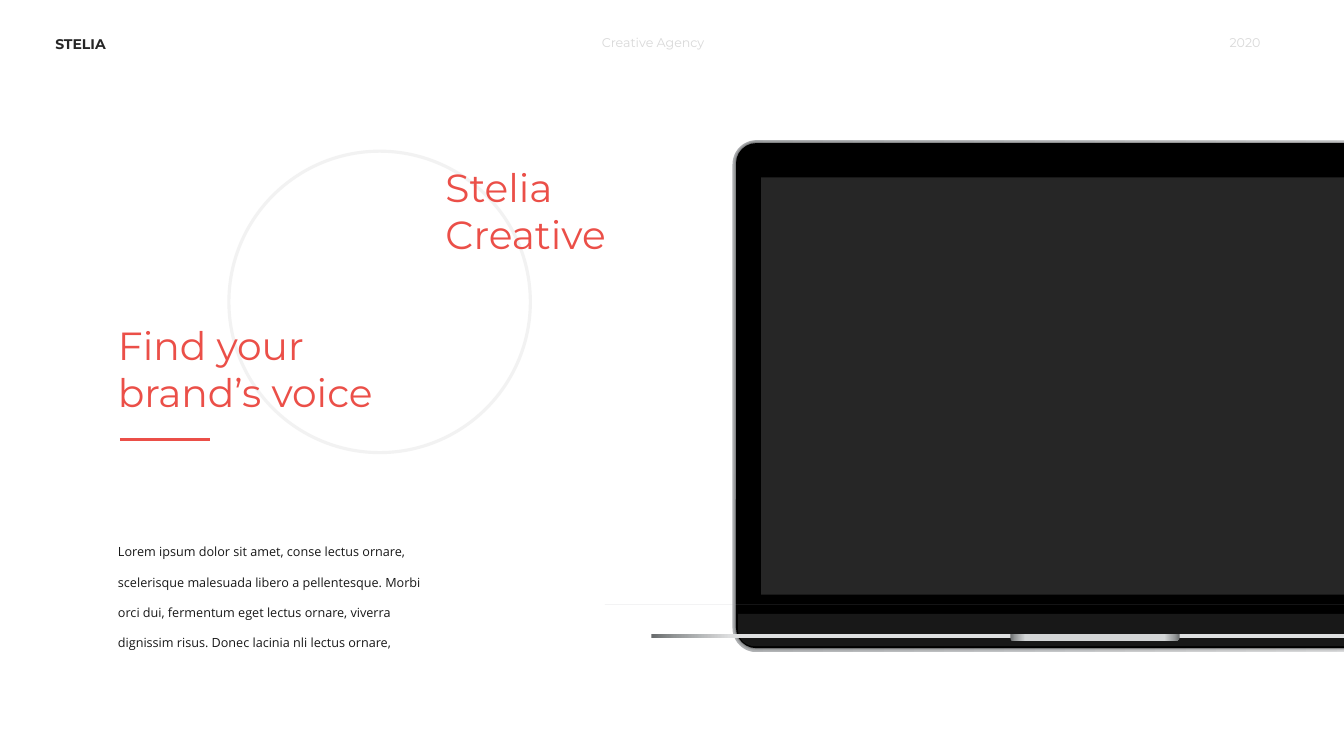
from dataclasses import dataclass

from lxml import etree
from pptx import Presentation
from pptx import util as u
from pptx.dml.color import RGBColor
from pptx.enum import shapes, text
from pptx.oxml.ns import qn


@dataclass(frozen=True)
class Theme:
    heading_font: str = "Montserrat"
    body_font: str = "Open Sans"
    accent: str = "EB4F48"
    ink: str = "181818"
    dark: str = "262626"
    black: str = "000000"
    muted: str = "D9D9D9"
    pale: str = "F2F2F2"
    metal: str = "A5A6A8"
    bright_metal: str = "DFE0E1"
    notch_metal: str = "D3D5D6"
    shell: tuple = ((0, "B0B2B4"), (100, "DFE0E1"))
    metal_edges: tuple = ("686B6C", "96999A")
    title_size: float = 28
    brand_size: float = 10
    small_size: float = 9
    line_width: float = 2.25

    def brushed(self, middle):
        """Dark-edged metal gradient around a lighter middle."""
        outer, inner = self.metal_edges
        return ((0, outer), (3, inner), (9, middle),
                (91, middle), (97, inner), (100, outer))


class SlideBuilder:
    def __init__(self, slide, theme):
        self.slide = slide
        self.theme = theme
        self.canvas = slide.shapes

    def start_group(self):
        self.canvas = self.slide.shapes.add_group_shape().shapes

    def end_group(self):
        self.canvas = self.slide.shapes

    def paint(self, shape, fill=None, line=None):
        shape.shadow.inherit = False
        if fill is None:
            shape.fill.background()
        elif isinstance(fill, str):
            shape.fill.solid()
            shape.fill.fore_color.rgb = RGBColor.from_string(fill)
        else:
            shape.fill.gradient()
            shape.fill.gradient_angle = 0
            stops = shape.element.spPr.find(qn("a:gradFill")).find(qn("a:gsLst"))
            for stop in list(stops):
                stops.remove(stop)
            for percent, color in fill:
                stop = etree.SubElement(stops, qn("a:gs"), pos=str(percent * 1000))
                etree.SubElement(stop, qn("a:srgbClr"), val=color)
        if line is None:
            shape.line.fill.background()
        else:
            shape.line.color.rgb = RGBColor.from_string(line)
            shape.line.width = u.Pt(self.theme.line_width)
        return shape

    def preset(self, kind, box, fill=None, line=None, adjust=()):
        shape = self.canvas.add_shape(kind, *map(u.Inches, box))
        for index, value in enumerate(adjust):
            shape.adjustments[index] = value
        return self.paint(shape, fill, line)

    def outline(self, points, fill):
        builder = self.canvas.build_freeform(*points[0], scale=u.Inches(1))
        builder.add_line_segments(points[1:], close=True)
        return self.paint(builder.convert_to_shape(), fill)

    def glow(self, shape, color, percent, blur):
        effects = shape.element.spPr.find(qn("a:effectLst"))
        shadow = etree.SubElement(effects, qn("a:outerShdw"),
                                  blurRad=str(int(u.Pt(blur))), dist="0", dir="0")
        tint = etree.SubElement(shadow, qn("a:srgbClr"), val=color)
        etree.SubElement(tint, qn("a:alpha"), val=str(percent * 1000))

    def rule(self, x1, y1, x2, y2, color):
        line = self.canvas.add_connector(
            shapes.MSO_CONNECTOR.STRAIGHT, *map(u.Inches, (x1, y1, x2, y2)))
        line.line.color.rgb = RGBColor.from_string(color)
        line.line.width = u.Pt(self.theme.line_width)
        etree.SubElement(line.element.spPr, qn("a:effectLst"))

    def label(self, box, lines, size, color, **style):
        holder = self.canvas.add_textbox(*map(u.Inches, box))
        self.fill_text(holder, lines, size, color, **style)

    def placeholder(self, holder, box, lines, size, color, **style):
        holder.left, holder.top, holder.width, holder.height = map(u.Inches, box)
        holder.element.getparent().append(holder.element)  # bring to front
        self.fill_text(holder, lines, size, color, **style)

    def fill_text(self, holder, lines, size, color, font=None, bold=False,
                  align=text.PP_ALIGN.LEFT, spacing=1.0):
        frame = holder.text_frame
        frame.word_wrap = True
        frame.auto_size = text.MSO_AUTO_SIZE.SHAPE_TO_FIT_TEXT
        frame.vertical_anchor = text.MSO_ANCHOR.TOP
        for index, line in enumerate(lines):
            paragraph = frame.add_paragraph() if index else frame.paragraphs[0]
            paragraph.alignment = align
            paragraph.line_spacing = spacing
            paragraph.space_before = u.Pt(0)
            if holder.is_placeholder:
                properties = paragraph._p.get_or_add_pPr()
                properties.set("marL", "0")
                properties.set("indent", "0")
                etree.SubElement(properties, qn("a:buNone"))
            run = paragraph.add_run()
            run.text = line
            run.font.name = font or self.theme.heading_font
            run.font.size = u.Pt(size)
            run.font.bold = bold
            run.font.color.rgb = RGBColor.from_string(color)


def draw_laptop(page):
    theme, kinds = page.theme, shapes.MSO_SHAPE
    center = 10.86
    page.start_group()

    def centered(kind, width, top, height, fill, adjust=()):
        box = (center - width / 2, top, width, height)
        return page.preset(kind, box, fill, adjust=adjust)

    # Lid and screen
    centered(kinds.ROUNDED_RECTANGLE, 7.19, 1.39, 5.08, theme.shell, (0.24 / 5.08,))
    display = centered(kinds.ROUNDED_RECTANGLE, 7.12, 1.42, 5.01, theme.black, (0.2 / 5.01,))
    page.glow(display, theme.black, 61, 2)
    centered(kinds.ROUND_2_SAME_RECTANGLE, 7.08, 6.09, 0.32, theme.ink, (0, 0.5))
    centered(kinds.RECTANGLE, 6.62, 1.76, 4.14, theme.dark)

    # Base, mirrored about the centre
    left_edge = [(6.46, 6.29), (6.46, 6.33), (6.62, 6.38), (6.8, 6.41), (6.91, 6.43),
                 (7.06, 6.44), (7.29, 6.46), (7.55, 6.47)]
    right_edge = [(2 * center - x, y) for x, y in reversed(left_edge)]
    page.outline(left_edge + right_edge, theme.metal)
    centered(kinds.RECTANGLE, 8.8, 6.29, 0.04, theme.brushed(theme.bright_metal))
    centered(kinds.ROUND_2_SAME_RECTANGLE, 1.68, 6.29, 0.07,
             theme.brushed(theme.notch_metal), (0, 0.5))
    page.end_group()


def main():
    deck = Presentation()
    deck.slide_width, deck.slide_height = u.Inches(13.33), u.Inches(7.5)
    slide = deck.slides.add_slide(deck.slide_layouts[1])
    theme = Theme()
    page = SlideBuilder(slide, theme)

    # Backdrop
    page.preset(shapes.MSO_SHAPE.OVAL, (2.27, 1.5, 2.99, 2.99), line=theme.pale)
    draw_laptop(page)

    # Header
    page.label((0.45, 0.3, 1.07, 0.27), ["STELIA"], theme.brand_size, theme.dark, bold=True)
    page.label((5.87, 0.3, 1.58, 0.25), ["Creative Agency"], theme.small_size, theme.muted)
    page.label((11.02, 0.3, 1.58, 0.25), ["2020"], theme.small_size, theme.muted,
               align=text.PP_ALIGN.RIGHT)

    # Message
    page.placeholder(slide.placeholders[1], (1.07, 5.2, 3.27, 1.27), [
        "Lorem ipsum dolor sit amet, conse lectus ornare, scelerisque malesuada libero "
        "a pellentesque. Morbi orci dui, fermentum eget lectus ornare, viverra dignissim "
        "risus. Donec lacinia nli lectus ornare,"],
        theme.small_size, theme.ink, font=theme.body_font, spacing=2.0)
    page.placeholder(slide.shapes.title, (1.07, 3.14, 2.99, 1.04),
                     ["Find your brand’s voice"], theme.title_size, theme.accent)
    page.rule(1.19, 4.36, 2.08, 4.36, theme.accent)
    page.label((4.32, 1.57, 2.16, 1.04), ["Stelia", "Creative"],
               theme.title_size, theme.accent)

    deck.save("out.pptx")


if __name__ == "__main__":
    main()
